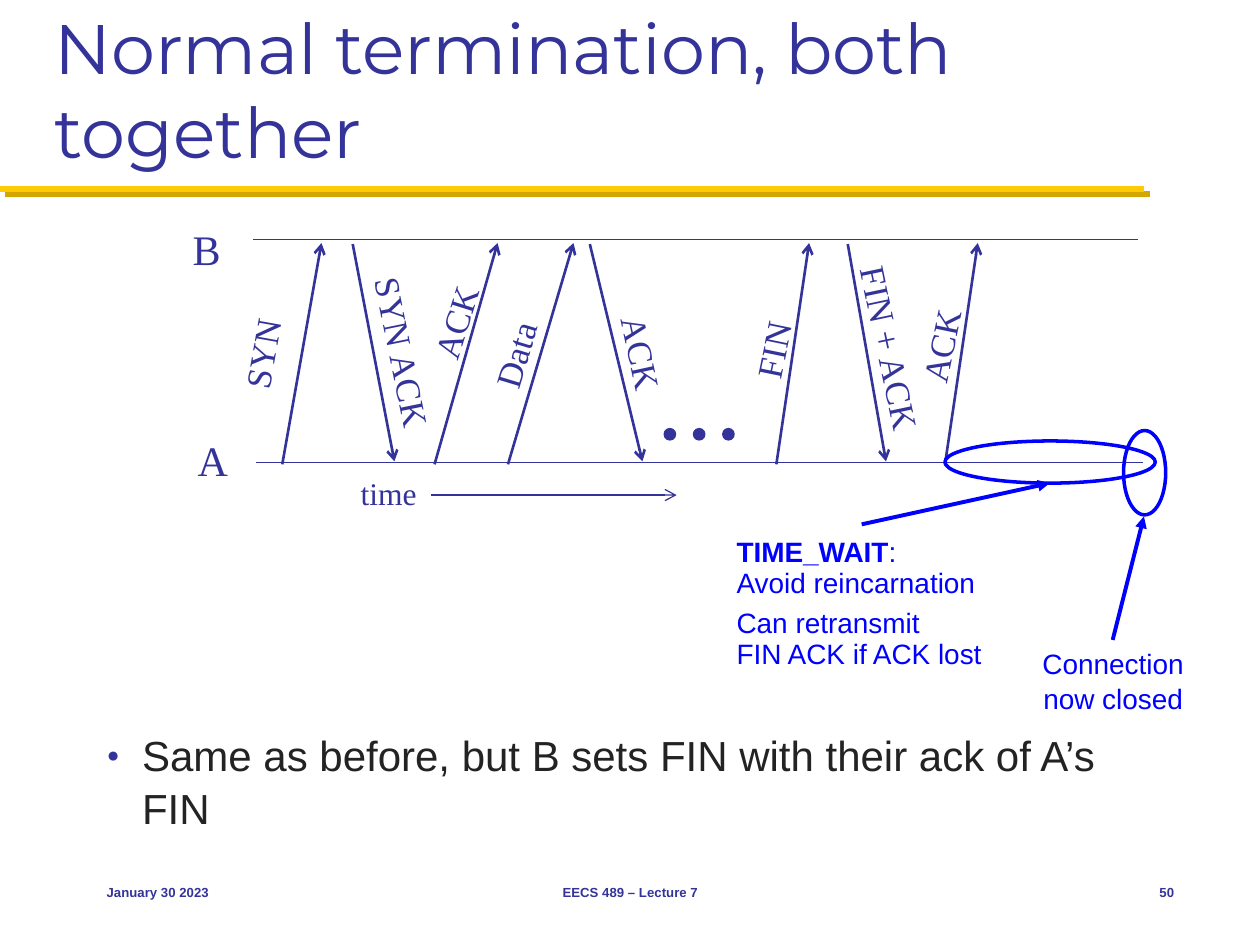
from lxml.etree import SubElement
from pptx import Presentation
from pptx.dml.color import RGBColor
from pptx.enum.shapes import MSO_CONNECTOR as Connector, MSO_SHAPE as Shape
from pptx.enum.text import MSO_ANCHOR as Anchor, MSO_AUTO_SIZE as AutoSize, PP_ALIGN as Align
from pptx.oxml.ns import qn
from pptx.util import Cm, Pt

INDIGO = RGBColor(0x33, 0x33, 0x99)
BLUE = RGBColor(0x00, 0x00, 0xFF)
CHARCOAL = RGBColor(0x23, 0x23, 0x23)
MAIZE = RGBColor(0xFF, 0xCB, 0x05)
DARK_MAIZE = RGBColor(0xD3, 0xA6, 0x00)
SERIF, SANS, TITLE_FONT = "Times New Roman", "Arial", "Montserrat"


class SlideBuilder:
    """Draws styled elements on one slide; all lengths are centimetres."""

    def __init__(self, slide):
        self.slide = slide

    def style(self, paragraph, size, color, name, align=Align.LEFT, bold=None):
        paragraph.alignment = align
        font = paragraph.font
        font.size, font.name, font.bold = Pt(size), name, bold
        font.color.rgb = color

    def placeholder(self, index, text, box, anchor):
        shape = self.slide.placeholders[index]
        shape.left, shape.top, shape.width, shape.height = map(Cm, box)
        frame = shape.text_frame
        frame.text = text
        frame.auto_size = AutoSize.NONE
        frame.vertical_anchor = anchor
        return frame.paragraphs[0]

    def title(self, text, box):
        paragraph = self.placeholder(0, text, box, Anchor.BOTTOM)
        self.style(paragraph, 40, INDIGO, TITLE_FONT)

    def bullet(self, text, box):
        paragraph = self.placeholder(1, text, box, Anchor.TOP)
        paragraph.space_before = Pt(0)
        paragraph.line_spacing = 1.05
        properties = paragraph._p.get_or_add_pPr()
        properties.set("marL", str(Cm(0.71)))
        properties.set("indent", str(Cm(-0.71)))
        color = SubElement(properties, qn("a:buClr"))
        SubElement(color, qn("a:srgbClr"), val=str(INDIGO))
        SubElement(properties, qn("a:buSzPct"), val="50000")
        SubElement(properties, qn("a:buChar"), char="●")
        self.style(paragraph, 24, CHARCOAL, SANS)

    def text(self, lines, box, size, color=INDIGO, name=SERIF, align=Align.CENTER,
             bold=None, rotation=0, wrap=False):
        shape = self.slide.shapes.add_textbox(*map(Cm, box))
        shape.rotation = rotation
        frame = shape.text_frame
        frame.text = lines
        frame.word_wrap = wrap
        frame.vertical_anchor = Anchor.MIDDLE
        for paragraph in frame.paragraphs:
            self.style(paragraph, size, color, name, align, bold)
        return frame.paragraphs

    def line(self, start, end, width=0.75, color=INDIGO, arrow=None):
        connector = self.slide.shapes.add_connector(
            Connector.STRAIGHT, *map(Cm, start + end))
        connector.line.width = Pt(width)
        connector.line.color.rgb = color
        if arrow:
            SubElement(connector.line._get_or_add_ln(), qn("a:tailEnd"), type=arrow)
        return SubElement(connector._element.spPr, qn("a:effectLst"))

    def shadowed_line(self, start, end, width, color, shadow_color):
        effects = self.line(start, end, width, color)
        shadow = SubElement(effects, qn("a:outerShdw"), blurRad="0",
                            dist=str(Pt(4.2)), dir=str(45 * 60000), rotWithShape="0")
        SubElement(shadow, qn("a:srgbClr"), val=str(shadow_color))

    def ellipse(self, box, width, color, filled=False):
        shape = self.slide.shapes.add_shape(Shape.OVAL, *map(Cm, box))
        shape.shadow.inherit = False
        shape.line.width = Pt(width)
        shape.line.color.rgb = color
        if filled:
            shape.fill.solid()
            shape.fill.fore_color.rgb = color
        else:
            shape.fill.background()


def main():
    presentation = Presentation()
    presentation.slide_width, presentation.slide_height = Cm(25.4), Cm(19.05)
    slide = presentation.slides.add_slide(presentation.slide_layouts[1])
    builder = SlideBuilder(slide)

    # Heading, rule and bullet
    builder.shadowed_line((0, 3.81), (23.07, 3.81), 3.5, MAIZE, DARK_MAIZE)
    builder.title("Normal termination, both together", (0.85, 0.42, 23.7, 3.18))
    builder.bullet("Same as before, but B sets FIN with their ack of A’s FIN",
                   (1.9, 14.53, 22.02, 2.18))

    # Timelines of both hosts
    builder.line((5.1, 4.83), (22.94, 4.83))
    builder.line((5.16, 9.32), (23.04, 9.32))
    builder.text("B", (3.63, 4.37, 1.07, 1.27), 24)
    builder.text("A", (3.73, 8.64, 1.12, 1.27), 24)
    builder.text("time", (7.01, 9.42, 1.65, 1.02), 18)
    builder.line((8.69, 9.98), (13.64, 9.98), arrow="arrow")

    # Messages: label, start x, end x, label centre, label width, label angle
    messages = [
        ("SYN", 5.69, 6.48, (5.28, 7.12), 1.93, -79.9),
        ("SYN ACK", 7.11, 7.95, (8.12, 7.1), 3.58, 78.5),
        ("ACK", 8.76, 10.03, (9.18, 6.49), 2.01, -72.6),
        ("Data", 10.24, 11.56, (10.38, 7.15), 1.85, -73.3),
        ("ACK", 11.89, 12.95, (12.94, 7.12), 2.01, 77.9),
        ("FIN", 15.65, 16.31, (15.58, 7.05), 1.65, -78.4),
        ("FIN + ACK", 17.09, 17.86, (17.95, 7.02), 3.89, 78.1),
        ("ACK", 19.05, 19.71, (18.96, 6.97), 2.01, -78.4),
    ]
    label_height = 1.09
    for label, start_x, end_x, (x, y), width, angle in messages:
        start_y, end_y = (9.36, 4.9) if angle < 0 else (4.92, 9.3)
        builder.line((start_x, start_y), (end_x, end_y), 1.5, arrow="arrow")
        builder.text(label, (x - width / 2, y - label_height / 2, width, label_height),
                     20, rotation=angle)

    # Ellipsis dots
    for index in range(3):
        builder.ellipse((13.39 + 0.59 * index, 8.64, 0.23, 0.23), 0.75, INDIGO, filled=True)

    # Connection closed
    builder.line((22.43, 12.9), (23.06, 10.41), 2.25, BLUE, "triangle")
    builder.ellipse((22.65, 8.68, 0.85, 1.7), 2, BLUE)
    closed, = builder.text("Connection\vnow closed", (20.75, 12.9, 3.38, 1.63),
                           16, BLUE, SANS)
    closed.line_spacing = 1.05

    # TIME_WAIT
    builder.line((17.37, 10.57), (21.16, 9.74), 2.25, BLUE, "triangle")
    builder.ellipse((19.05, 8.89, 4.24, 0.85), 2, BLUE)
    heading, purpose, retransmit = builder.text(
        "TIME_WAIT\nAvoid reincarnation\nCan retransmit\vFIN ACK if ACK lost",
        (14.6, 10.57, 5.51, 3.15), 16, BLUE, SANS, Align.LEFT)
    heading.runs[0].font.bold = True
    heading.add_run().text = ":"
    for paragraph, spacing in ((purpose, 0.4), (retransmit, 0.9)):
        paragraph.line_spacing = spacing
        paragraph.space_before = Pt(8)

    # Footer
    for text, left, width, align in (
            ("January 30 2023", 1.9, 5.29, Align.LEFT),
            ("EECS 489 – Lecture 7", 8.68, 8.05, Align.CENTER),
            ("50", 22.22, 1.7, Align.RIGHT)):
        builder.text(text, (left, 17.35, width, 1.27), 7.5, INDIGO, SANS, align,
                     bold=True, wrap=True)

    presentation.save("out.pptx")


if __name__ == "__main__":
    main()
